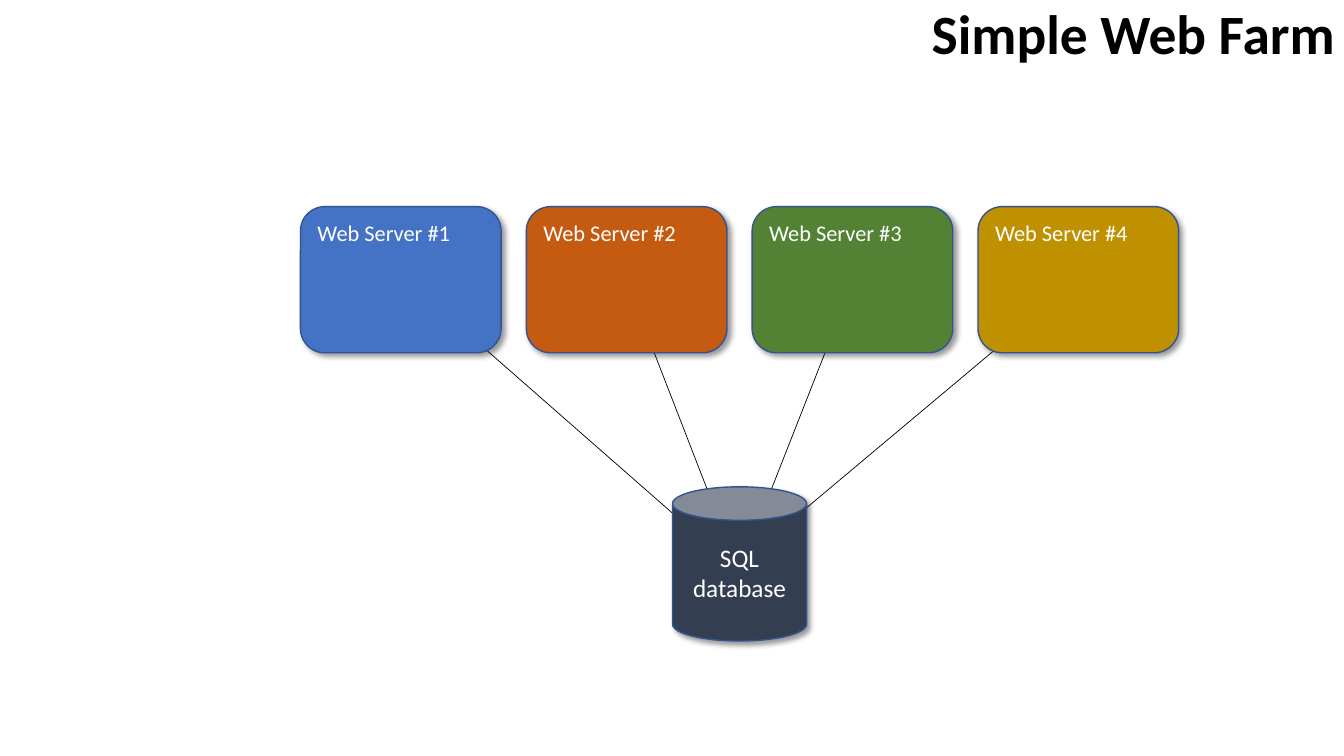
import dataclasses

import lxml.etree
import pptx
import pptx.dml.color
import pptx.enum.shapes
import pptx.enum.text
import pptx.oxml.ns
import pptx.util

PX = pptx.util.Inches(1) // 100
SHAPES = pptx.enum.shapes.MSO_SHAPE
ALIGN = pptx.enum.text.PP_ALIGN
ANCHOR = pptx.enum.text.MSO_ANCHOR


@dataclasses.dataclass(frozen=True)
class Theme:
    """Colours, font and type sizes of the slide."""
    font: str = "Calibri"
    ink: str = "000000"
    light: str = "FFFFFF"
    outline: str = "325491"
    database: str = "333F50"
    servers: tuple = ("4472C4", "C55A11", "548235", "BF9000")
    title_size: float = 39.6
    server_size: int = 16
    database_size: int = 18


THEME = Theme()


def px(*lengths):
    """Turn pixel lengths into EMU."""
    return [length * PX for length in lengths]


def rgb(code):
    """Return the colour for a hex code."""
    return pptx.dml.color.RGBColor.from_string(code)


def write(holder, text, size, colour, align, anchor, bold=False):
    """Set one styled paragraph in a shape and return it."""
    frame = holder.text_frame
    frame.word_wrap = True
    frame.vertical_anchor = anchor
    paragraph = frame.paragraphs[0]
    paragraph.text = text
    paragraph.alignment = align
    paragraph.font.name = THEME.font
    paragraph.font.size = pptx.util.Pt(size)
    paragraph.font.bold = bold
    paragraph.font.color.rgb = rgb(colour)
    return paragraph


def set_effects(holder):
    """Give an element an empty effect list and return it."""
    properties = holder._element.spPr
    return lxml.etree.SubElement(properties, pptx.oxml.ns.qn("a:effectLst"))


def cast_shadow(node):
    """Add a soft shadow to the lower right of a node."""
    qn = pptx.oxml.ns.qn
    shadow = lxml.etree.SubElement(
        set_effects(node), qn("a:outerShdw"), blurRad=str(pptx.util.Pt(4)),
        dist=str(pptx.util.Pt(3)), dir=str(45 * 60000), algn="tl", rotWithShape="0")
    colour = lxml.etree.SubElement(shadow, qn("a:srgbClr"), val=THEME.ink)
    lxml.etree.SubElement(colour, qn("a:alpha"), val="40000")


def add_node(slide, preset, box, fill):
    """Draw one filled, outlined and shadowed node."""
    node = slide.shapes.add_shape(preset, *px(*box))
    node.fill.solid()
    node.fill.fore_color.rgb = rgb(fill)
    node.line.color.rgb = rgb(THEME.outline)
    node.line.width = pptx.util.Pt(1)
    cast_shadow(node)
    return node


def add_title(slide, box, text):
    """Write the heading against the right edge of its box."""
    heading = slide.shapes.add_textbox(*px(*box))
    paragraph = write(heading, text, THEME.title_size, THEME.ink,
                      ALIGN.RIGHT, ANCHOR.MIDDLE, bold=True)
    paragraph.line_spacing = 0.9


def add_links(slide, starts, ends):
    """Join each server to the database."""
    for start, end in zip(starts, ends):
        link = slide.shapes.add_connector(
            pptx.enum.shapes.MSO_CONNECTOR.STRAIGHT, *px(*start, *end))
        link.line.color.rgb = rgb(THEME.ink)
        link.line.width = pptx.util.Pt(0.5)
        set_effects(link)


def add_servers(slide, box, gap):
    """Spread the web servers evenly across the box."""
    left, top, width, height = box
    count = len(THEME.servers)
    server_width = (width - gap * (count - 1)) // count
    for index, fill in enumerate(THEME.servers):
        place = (left + index * (server_width + gap), top, server_width, height)
        server = add_node(slide, SHAPES.ROUNDED_RECTANGLE, place, fill)
        write(server, f"Web Server #{index + 1}", THEME.server_size, THEME.light,
              ALIGN.LEFT, ANCHOR.TOP)


def add_database(slide, box):
    """Draw the shared database."""
    database = add_node(slide, SHAPES.CAN, box, THEME.database)
    write(database, "SQL database", THEME.database_size, THEME.light,
          ALIGN.CENTER, ANCHOR.MIDDLE)


def build_web_farm(slide):
    """Place the title, links, servers and database."""
    add_links(slide, [(1069, 278), (845, 282), (621, 278), (400, 275)],
              [(733, 560), (733, 567), (733, 567), (733, 567)])
    add_title(slide, (367, 0, 967, 72), "Simple Web Farm")
    add_servers(slide, (298, 205, 871, 145), 25)
    add_database(slide, (667, 483, 133, 153))


def main():
    """Build and save the presentation."""
    deck = pptx.Presentation()
    deck.slide_width, deck.slide_height = px(1333, 750)
    build_web_farm(deck.slides.add_slide(deck.slide_layouts[6]))
    deck.save("out.pptx")


if __name__ == "__main__":
    main()
